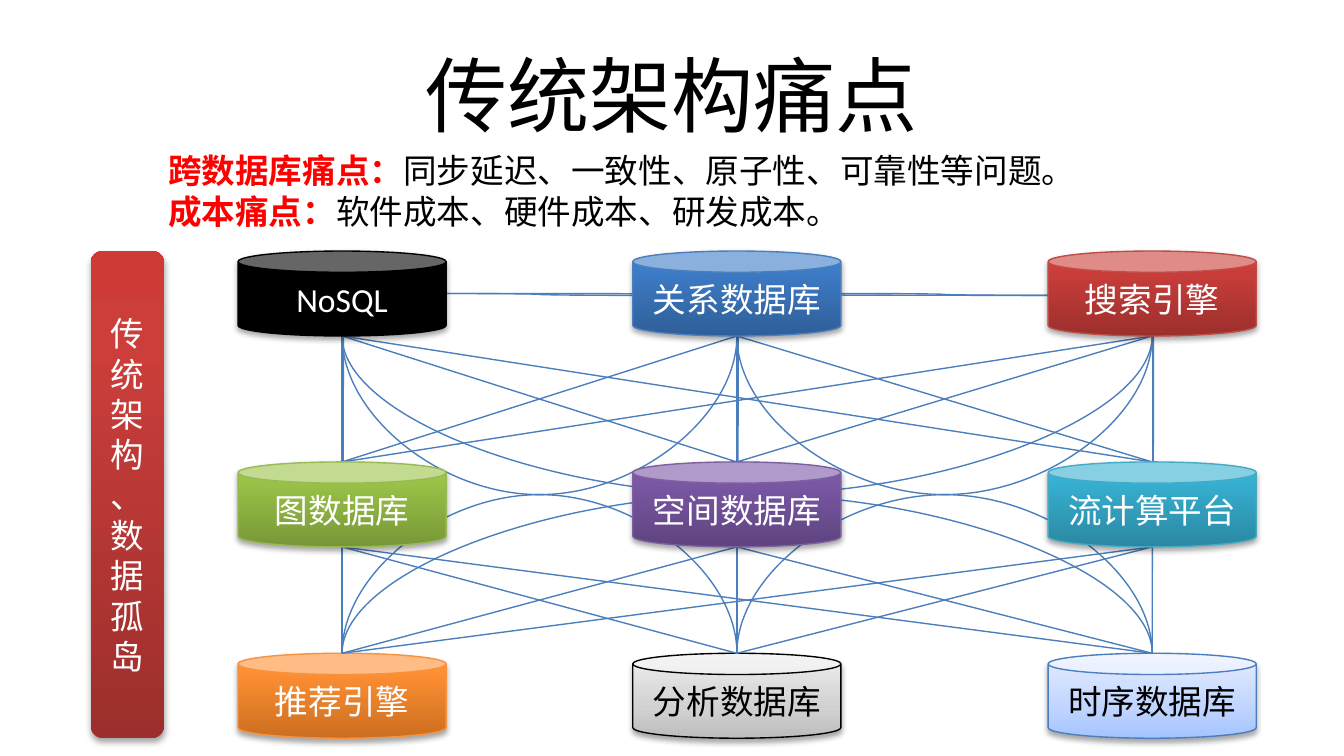
from itertools import combinations, product

from lxml.etree import SubElement
from pptx import Presentation
from pptx.dml.color import RGBColor
from pptx.enum.shapes import MSO_CONNECTOR, MSO_SHAPE
from pptx.enum.text import MSO_ANCHOR, PP_ALIGN
from pptx.oxml.ns import qn
from pptx.util import Pt

BLACK = RGBColor(0, 0, 0)
WHITE = RGBColor(255, 255, 255)
RED = RGBColor(255, 0, 0)
BLUE = RGBColor(0x4B, 0x7E, 0xBC)
GREEN = RGBColor(0x98, 0xB9, 0x55)
PURPLE = RGBColor(0x7D, 0x60, 0xA0)
BRICK = RGBColor(0xBF, 0x4C, 0x48)
TEAL = RGBColor(0x46, 0xAA, 0xC5)
ORANGE = RGBColor(0xF6, 0x92, 0x40)


def fade(share, *tones):
    """Gradient stops from the bottom up; share is the middle position."""
    return list(zip((0, share, 100), map(RGBColor.from_string, tones)))


BRICKS = fade(80, "9C2F2D", "CB3E3A", "CE3B37")

COLS = (127.5, 339, 561.5)
ROWS = (134.5, 247.5, 350)
WIDE, HIGH = 111.5, 45.5
MIDS = [x + WIDE / 2 for x in COLS]

# name, fill stops, line colour, text colour
CANS = (
    (
        ("NoSQL", None, BLACK, WHITE),
        ("关系数据库", fade(80, "2F5F99", "3D7CC7", "3A7CCB"), BLUE, WHITE),
        ("搜索引擎", BRICKS, BRICK, WHITE),
    ),
    (
        ("图数据库", fade(80, "779737", "9BC348", "9DC746"), GREEN, WHITE),
        ("空间数据库", fade(80, "5F4480", "7B58A6", "7C57A8"), PURPLE, WHITE),
        ("流计算平台", fade(80, "2A88A2", "37B1D2", "34B4D6"), TEAL, WHITE),
    ),
    (
        ("推荐引擎", fade(80, "CC6E20", "FF9034", "FF9136"), ORANGE, WHITE),
        ("分析数据库", fade(35, "BDBDBD", "D1D1D1", "EEEEEE"), BLACK, BLACK),
        ("时序数据库", fade(35, "A4C4FF", "BFD4FF", "E6EEFF"), BLUE, BLACK),
    ),
)

NOTES = (
    ("跨数据库痛点：", "同步延迟、一致性、原子性、可靠性等问题。"),
    ("成本痛点：", "软件成本、硬件成本、研发成本。"),
)


class Board:
    font = "Calibri"
    size = 18
    thin = 0.75

    def __init__(self, deck):
        self.slide = deck.slides.add_slide(deck.slide_layouts[5])
        self.shapes = self.slide.shapes

    def title(self, text, x, y, w, h):
        box = self.shapes.title
        box.left, box.top, box.width, box.height = map(Pt, (x, y, w, h))
        self.label(box.text_frame, [text], BLACK, 44)

    def label(self, frame, lines, color, size=size):
        frame.text = "\n".join(lines)
        frame.vertical_anchor = MSO_ANCHOR.MIDDLE
        for par in frame.paragraphs:
            par.alignment = PP_ALIGN.CENTER
            par.font.name, par.font.size = self.font, Pt(size)
            par.font.color.rgb = color

    def notes(self, rows, x, y, w, h):
        frame = self.shapes.add_textbox(*map(Pt, (x, y, w, h))).text_frame
        frame.word_wrap = False
        for i, (head, rest) in enumerate(rows):
            par = frame.add_paragraph() if i else frame.paragraphs[0]
            par.font.name, par.font.size = self.font, Pt(self.size)
            for text, color, bold in ((head, RED, True), (rest, BLACK, False)):
                run = par.add_run()
                run.text = text
                run.font.color.rgb, run.font.bold = color, bold

    def block(self, kind, lines, spot, stops, edge, color):
        shape = self.shapes.add_shape(kind, *map(Pt, spot))
        if stops:
            self.blend(shape, stops)
        else:
            shape.fill.solid()
            shape.fill.fore_color.rgb = edge
        if edge is None:
            shape.line.fill.background()
        else:
            shape.line.color.rgb = edge
            shape.line.width = Pt(self.thin)
        self.shade(shape)
        self.label(shape.text_frame, lines, color)

    def blend(self, shape, stops):
        shape.fill.gradient()
        grad = shape._element.spPr.find(qn("a:gradFill"))
        for part in list(grad):
            grad.remove(part)
        group = SubElement(grad, qn("a:gsLst"))
        for pos, color in stops:
            stop = SubElement(group, qn("a:gs"), pos=str(pos * 1000))
            SubElement(stop, qn("a:srgbClr"), val=str(color))
        SubElement(grad, qn("a:lin"), ang="16200000", scaled="0")

    def shade(self, shape):
        shape.shadow.inherit = False
        effects = shape._element.spPr.find(qn("a:effectLst"))
        drop = SubElement(effects, qn("a:outerShdw"), blurRad=str(Pt(3.1)),
                          dist=str(Pt(1.8)), dir="5400000", rotWithShape="0")
        tone = SubElement(drop, qn("a:srgbClr"), val="000000")
        SubElement(tone, qn("a:alpha"), val="35000")

    def link(self, x1, y1, x2, y2, kind=MSO_CONNECTOR.STRAIGHT):
        line = self.shapes.add_connector(kind, *map(Pt, (x1, y1, x2, y2)))
        line.line.color.rgb, line.line.width = BLUE, Pt(self.thin)
        SubElement(line._element.spPr, qn("a:effectLst"))
        return line

    def swing(self, x1, y1, x2, y2):
        """Curve that leaves and arrives vertically: a flat one, turned."""
        mx, my = (x1 + x2) / 2, (y1 + y2) / 2
        dx, dy = abs(x2 - x1) / 2, (y2 - y1) / 2
        side, turn = (1, 270) if x2 > x1 else (-1, 90)
        line = self.link(mx + side * dy, my - dx, mx - side * dy, my + dx,
                         MSO_CONNECTOR.CURVE)
        line._element.spPr.find(qn("a:xfrm")).set("rot", str(turn * 60000))

    def cans(self, row):
        for x, (name, stops, edge, color) in zip(COLS, CANS[row]):
            self.block(MSO_SHAPE.CAN, [name], (x, ROWS[row], WIDE, HIGH),
                       stops, edge, color)


def main():
    deck = Presentation()
    deck.slide_width, deck.slide_height = Pt(720), Pt(405)
    board = Board(deck)
    board.title("传统架构痛点", 36, 16.5, 648, 67.5)
    board.cans(2)

    for row in (0, 1):
        for start, end in product(MIDS, MIDS):
            board.link(start, ROWS[row] + HIGH, end, ROWS[row + 1])
    for start, end in product(MIDS, MIDS):
        shift = 0.7 if start == end else 0
        board.swing(start + shift, ROWS[0] + HIGH, end, ROWS[2])
    mid = ROWS[0] + HIGH / 2
    for left, right in combinations(COLS, 2):
        board.link(left + WIDE, mid, right, mid + 1, MSO_CONNECTOR.CURVE)

    board.notes(NOTES, 83, 77, 505.5, 51)
    board.block(MSO_SHAPE.ROUNDED_RECTANGLE, ["传统架构", "、数据孤岛"],
                (48.5, ROWS[0], 39.5, 261), BRICKS, None, WHITE)
    board.cans(0)
    board.cans(1)
    deck.save("out.pptx")


if __name__ == "__main__":
    main()
